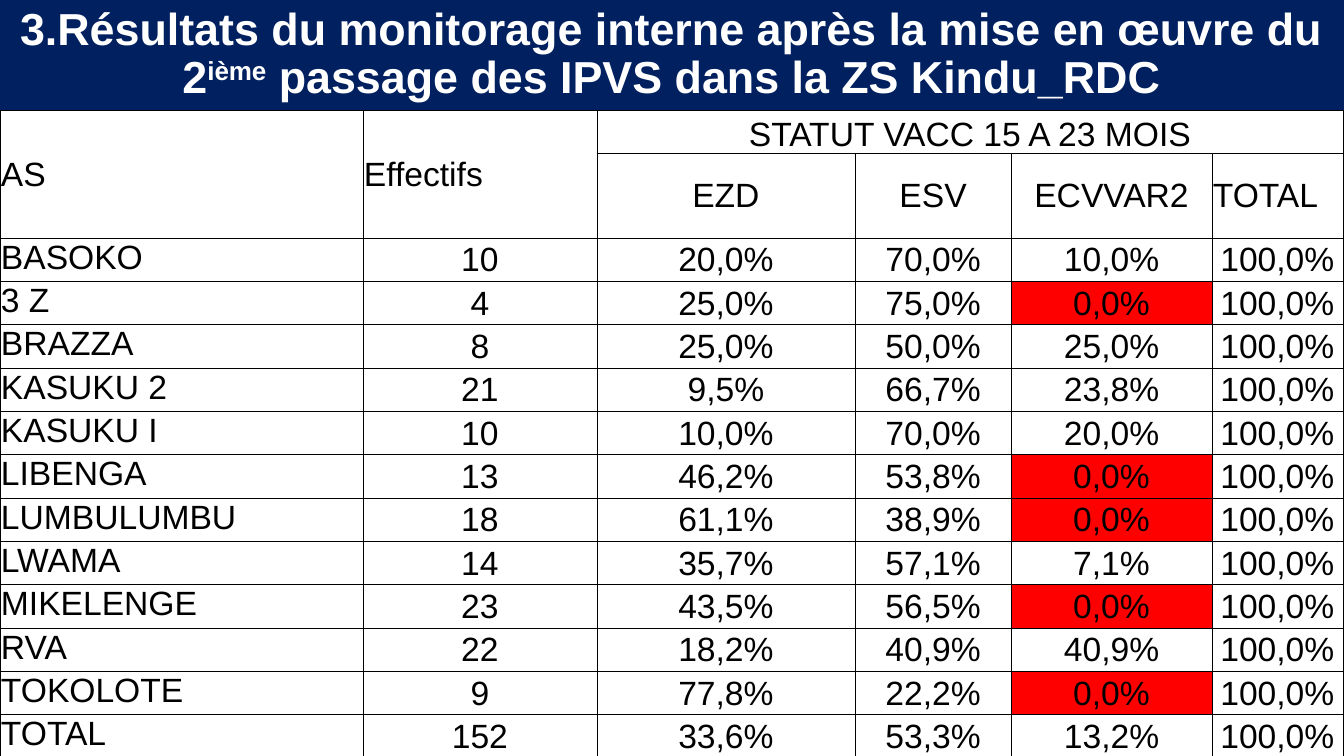
from lxml.etree import SubElement
from pptx import Presentation
from pptx.dml.color import RGBColor
from pptx.enum.shapes import MSO_SHAPE
from pptx.enum.text import MSO_ANCHOR, PP_ALIGN
from pptx.oxml.ns import qn
from pptx.util import Inches, Pt

NAVY = RGBColor(0x00, 0x20, 0x60)
WHITE = RGBColor(0xFF, 0xFF, 0xFF)
BLACK = RGBColor(0x00, 0x00, 0x00)
RED = RGBColor(0xFF, 0x00, 0x00)

FONT = "Arial"
SLIDE_WIDTH = 13.33
TITLE_HEIGHT = 1.09
COLUMN_WIDTHS = [3.6, 2.32, 2.56, 1.55, 1.99, 1.3]
ROW_HEIGHT = 0.43
SUBHEADER_HEIGHT = 0.84
ECVVAR2_COLUMN = 4

HEADERS = [
    ["AS", "Effectifs", "STATUT VACC 15 A 23 MOIS", "", "", ""],
    ["", "", "EZD", "ESV", "ECVVAR2", "TOTAL"],
]
RESULTS = [
    ["BASOKO", "10", "20,0%", "70,0%", "10,0%", "100,0%"],
    ["3 Z", "4", "25,0%", "75,0%", "0,0%", "100,0%"],
    ["BRAZZA", "8", "25,0%", "50,0%", "25,0%", "100,0%"],
    ["KASUKU 2", "21", "9,5%", "66,7%", "23,8%", "100,0%"],
    ["KASUKU I", "10", "10,0%", "70,0%", "20,0%", "100,0%"],
    ["LIBENGA", "13", "46,2%", "53,8%", "0,0%", "100,0%"],
    ["LUMBULUMBU", "18", "61,1%", "38,9%", "0,0%", "100,0%"],
    ["LWAMA", "14", "35,7%", "57,1%", "7,1%", "100,0%"],
    ["MIKELENGE", "23", "43,5%", "56,5%", "0,0%", "100,0%"],
    ["RVA", "22", "18,2%", "40,9%", "40,9%", "100,0%"],
    ["TOKOLOTE", "9", "77,8%", "22,2%", "0,0%", "100,0%"],
    ["TOTAL", "152", "33,6%", "53,3%", "13,2%", "100,0%"],
]


def add_run(paragraph, text, size, color, bold=False):
    run = paragraph.add_run()
    run.text = text
    run.font.name = FONT
    run.font.size = Pt(size)
    run.font.bold = bold
    run.font.color.rgb = color
    return run


def add_title(slide):
    banner = slide.shapes.add_shape(
        MSO_SHAPE.RECTANGLE, 0, 0, Inches(SLIDE_WIDTH), Inches(TITLE_HEIGHT))
    banner.shadow.inherit = False
    banner.fill.solid()
    banner.fill.fore_color.rgb = NAVY
    banner.line.fill.background()
    frame = banner.text_frame
    frame.word_wrap = True
    frame.vertical_anchor = MSO_ANCHOR.MIDDLE
    heading = frame.paragraphs[0]
    heading.alignment = PP_ALIGN.CENTER
    heading.line_spacing = 0.9
    add_run(heading, "3.Résultats du monitorage interne après la mise en œuvre du 2",
            32, WHITE, True)
    ordinal = add_run(heading, "ième", 32, WHITE, True)
    ordinal.font._element.set("baseline", "30000")
    add_run(heading, " passage des IPVS dans la ZS Kindu_RDC", 32, WHITE, True)


def add_borders(cell):
    properties = cell._tc.get_or_add_tcPr()
    for side in ("a:lnL", "a:lnR", "a:lnT", "a:lnB"):
        border = SubElement(properties, qn(side), w=str(Pt(0.5)))
        fill = SubElement(border, qn("a:solidFill"))
        SubElement(fill, qn("a:srgbClr"), val=str(BLACK))


def format_cell(cell, text, alignment, anchor, highlighted):
    cell.margin_left = cell.margin_right = cell.margin_top = Inches(0.01)
    cell.margin_bottom = 0
    cell.vertical_anchor = anchor
    add_borders(cell)
    if highlighted:
        cell.fill.solid()
        cell.fill.fore_color.rgb = RED
    else:
        cell.fill.background()
    paragraph = cell.text_frame.paragraphs[0]
    paragraph.alignment = alignment
    if text:
        add_run(paragraph, text, 24, BLACK)


def cell_anchor(row, column):
    if row == 0 and column >= 2:
        return MSO_ANCHOR.BOTTOM
    if row >= len(HEADERS) and column == 0:
        return MSO_ANCHOR.TOP
    return MSO_ANCHOR.MIDDLE


def add_results_table(slide):
    rows = HEADERS + RESULTS
    row_heights = [ROW_HEIGHT] * len(rows)
    row_heights[1] = SUBHEADER_HEIGHT
    table = slide.shapes.add_table(
        len(rows), len(COLUMN_WIDTHS), 0, Inches(TITLE_HEIGHT),
        Inches(sum(COLUMN_WIDTHS)), Inches(sum(row_heights))).table
    table.first_row = False
    table.horz_banding = False
    for column, width in zip(table.columns, COLUMN_WIDTHS):
        column.width = Inches(width)
    for row, height in zip(table.rows, row_heights):
        row.height = Inches(height)

    for r, texts in enumerate(rows):
        for c, text in enumerate(texts):
            left_aligned = c == 0 or text in ("Effectifs", "TOTAL")
            alignment = PP_ALIGN.LEFT if left_aligned else PP_ALIGN.CENTER
            highlighted = c == ECVVAR2_COLUMN and text == "0,0%"
            format_cell(table.cell(r, c), text, alignment, cell_anchor(r, c), highlighted)

    for c in (0, 1):
        table.cell(0, c).merge(table.cell(1, c))
    table.cell(0, 2).merge(table.cell(0, 5))


def main():
    presentation = Presentation()
    presentation.slide_width = Inches(SLIDE_WIDTH)
    presentation.slide_height = Inches(7.5)
    slide = presentation.slides.add_slide(presentation.slide_layouts[6])
    add_title(slide)
    add_results_table(slide)
    presentation.save("out.pptx")


if __name__ == "__main__":
    main()
